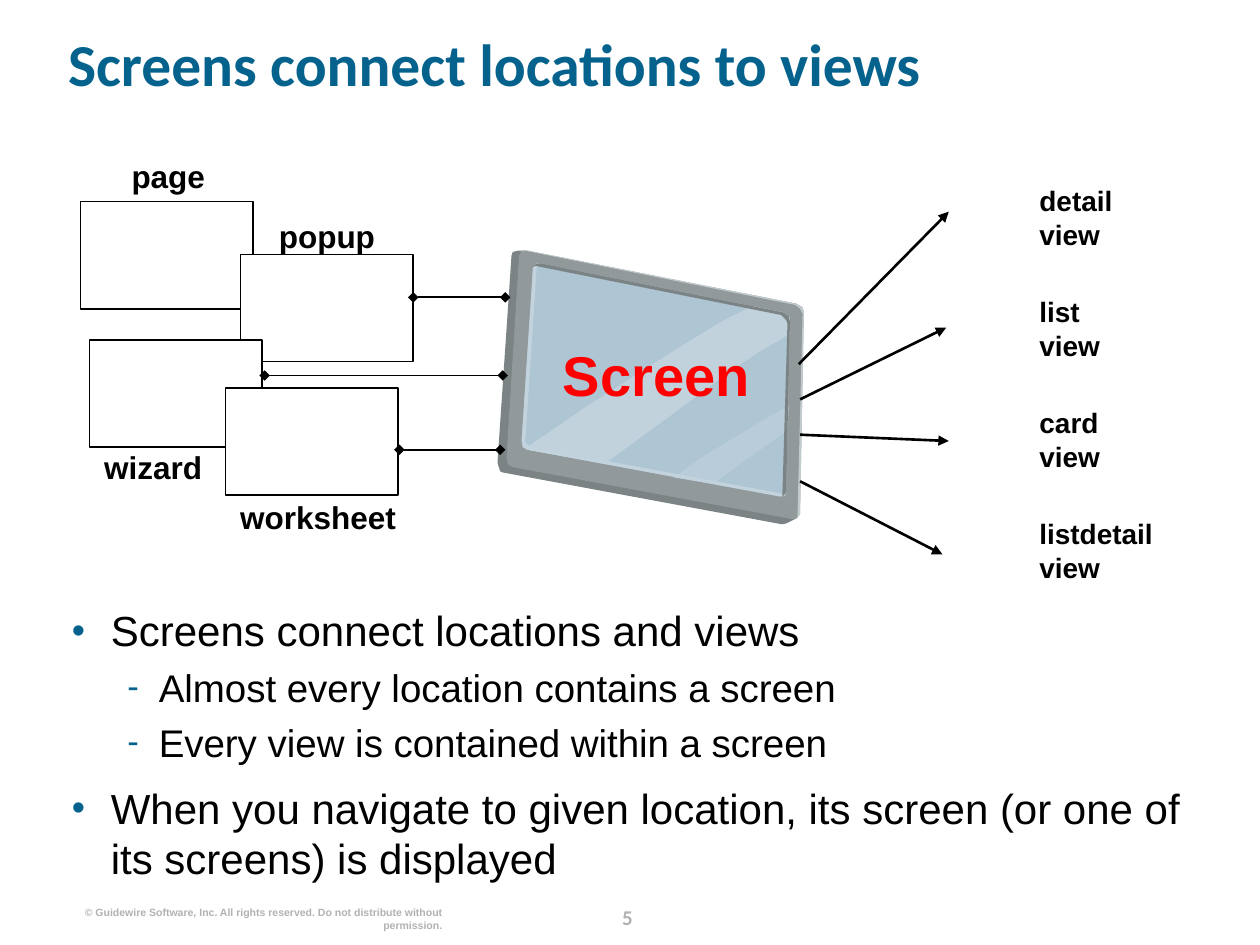
from lxml.etree import SubElement
from pptx import Presentation
from pptx.dml.color import RGBColor
from pptx.enum.shapes import MSO_CONNECTOR, MSO_SHAPE
from pptx.enum.text import MSO_ANCHOR, MSO_AUTO_SIZE, PP_ALIGN
from pptx.oxml.ns import qn
from pptx.util import Inches, Pt

BLUE = RGBColor(0x04, 0x62, 0x8C)
BLACK = RGBColor(0, 0, 0)
WHITE = RGBColor(255, 255, 255)
RED = RGBColor(255, 0, 0)
GRAY = RGBColor(0xB2, 0xB2, 0xB2)
EDGE = RGBColor(0x7C, 0x83, 0x84)
FRAME = RGBColor(0x92, 0x99, 0x9B)
SHINE = RGBColor(0xC1, 0xCB, 0xCD)
GLASS = RGBColor(0xAE, 0xC5, 0xD4)
GLARE = RGBColor(0xC1, 0xD2, 0xDD)
HAZE = RGBColor(0xB9, 0xCC, 0xD9)
RIM = RGBColor(0xC3, 0xD3, 0xDE)

TITLE = "Screens connect locations to views"
BULLETS = [  # level, text
    (0, "Screens connect locations and views"),
    (1, "Almost every location contains a screen"),
    (1, "Every view is contained within a screen"),
    (0, "When you navigate to given location, its screen (or one of its screens) is displayed"),
]
LEVELS = [  # bullet, size, left margin, hang, space before
    ("•", 24, 0.31, 0.31, 10),
    ("-", 22, 0.69, 0.25, 5),
]
# Location name, box corner, label corner
PLACES = [
    ("page", (0.64, 1.6), (0.64, 1.25)),
    ("popup", (1.91, 2.02), (1.9, 1.72)),
    ("wizard", (0.71, 2.7), (0.52, 3.56)),
    ("worksheet", (1.79, 3.08), (1.83, 3.95)),
]
BOX = (1.37, 0.85)
LINKS = [(3.28, 4.01, 2.36), (2.1, 3.99, 2.98), (3.17, 3.97, 3.57)]  # x1, x2, y
# View name, arrow start, arrow end
VIEWS = [
    ("detail\nview", (6.34, 2.89), (7.53, 1.68)),
    ("list\nview", (6.35, 3.17), (7.51, 2.6)),
    ("card\nview", (6.35, 3.45), (7.53, 3.5)),
    ("listdetail\nview", (6.35, 3.82), (7.48, 4.4)),
]
VIEW_X, VIEW_Y, VIEW_STEP = 8.25, 1.46, 0.88
# Monitor parts from back to front, in hundredths of an inch
MONITOR = [
    (EDGE, [(395, 365), (395, 368), (396, 371), (397, 374), (399, 375), (620, 416),
            (622, 416), (625, 415), (631, 412), (628, 409), (632, 249), (630, 245),
            (626, 242), (417, 199), (411, 199), (407, 200), (406, 203)]),
    (FRAME, [(402, 363), (403, 368), (405, 370), (408, 371), (629, 412), (631, 412),
             (633, 411), (635, 408), (638, 248), (637, 244), (632, 241), (419, 199),
             (414, 199), (412, 203)]),
    (SHINE, [(633, 409), (637, 249), (635, 245), (631, 242), (417, 199), (414, 200),
             (416, 199), (419, 199), (632, 241), (637, 244), (638, 248), (635, 408),
             (632, 412)]),
    (GLASS, [(414, 350), (415, 355), (419, 357), (619, 394), (623, 394), (624, 390),
             (627, 255), (626, 251), (622, 248), (429, 209), (424, 210), (423, 213)]),
    (GLARE, [(627, 265), (627, 252), (622, 248), (597, 243), (573, 255), (529, 282),
             (462, 325), (417, 356), (419, 357), (480, 368), (532, 330), (579, 295),
             (603, 279)]),
    (HAZE, [(625, 342), (626, 322), (603, 335), (557, 363), (535, 379), (566, 384),
            (596, 362)]),
    (RIM, [(427, 209), (426, 212), (417, 348), (417, 351), (419, 353), (423, 355),
           (622, 392), (623, 393), (619, 394), (419, 357), (415, 355), (414, 350),
           (423, 213), (424, 210)]),
    (EDGE, [(621, 392), (625, 257), (624, 254), (620, 250), (425, 211), (423, 212),
            (424, 210), (429, 209), (622, 248), (626, 251), (627, 255), (624, 390),
            (623, 392), (621, 394)]),
]

prs = Presentation()
prs.slide_width, prs.slide_height = Inches(10), Inches(7.5)
slide = prs.slides.add_slide(prs.slide_layouts[1])
shapes = slide.shapes


def place(shape, x, y, w, h):
    shape.left, shape.top, shape.width, shape.height = map(Inches, (x, y, w, h))


def trim(frame):
    frame.margin_left = frame.margin_right = frame.margin_top = frame.margin_bottom = 0
    frame.auto_size = MSO_AUTO_SIZE.NONE
    frame.word_wrap = True


def style(font, size, color, bold=True, name="Arial"):
    font.size, font.bold, font.name = Pt(size), bold, name
    font.color.rgb = color


def label(text, x, y, w, h, size, color=BLACK, align=PP_ALIGN.CENTER, name="Arial"):
    box = shapes.add_textbox(*map(Inches, (x, y, w, h)))
    trim(box.text_frame)
    para = box.text_frame.paragraphs[0]
    para.text, para.alignment = text, align
    for run in para.runs:
        style(run.font, size, color, name=name)
    return para


def line(start, end, width, **ends):
    wire = shapes.add_connector(MSO_CONNECTOR.STRAIGHT, *map(Inches, start + end))
    wire.line.width = Pt(width)
    wire.line.color.rgb = BLACK
    for tag, kind in ends.items():
        SubElement(wire.line._get_or_add_ln(), qn(f"a:{tag}"), type=kind)
    SubElement(wire._element.spPr, qn("a:effectLst"))


# Title
title = shapes.title
place(title, 0.54, 0.13, 9.1, 0.81)
trim(title.text_frame)
title.text_frame.vertical_anchor = MSO_ANCHOR.MIDDLE
para = title.text_frame.paragraphs[0]
para.text, para.alignment, para.line_spacing = TITLE, PP_ALIGN.LEFT, 0.9
style(para.runs[0].font, 34, BLUE, name="Calibri")

# Bullet list
body = slide.placeholders[1]
place(body, 0.57, 4.8, 9.1, 2.19)
trim(body.text_frame)
body.text_frame.text = "\n".join(text for _, text in BULLETS)
for i, (para, (level, _)) in enumerate(zip(body.text_frame.paragraphs, BULLETS)):
    mark, size, left, hang, gap = LEVELS[level]
    para.level = level
    para.space_before = Pt(gap if i else 0)
    props = para._p.get_or_add_pPr()
    props.set("marL", str(Inches(left)))
    props.set("indent", str(-Inches(hang)))
    SubElement(SubElement(props, qn("a:buClr")), qn("a:srgbClr"), val=str(BLUE))
    SubElement(props, qn("a:buSzPct"), val="90000")
    SubElement(props, qn("a:buFont"), typeface="Arial")
    SubElement(props, qn("a:buChar"), char=mark)
    style(para.runs[0].font, size, BLACK, bold=False)

# Monitor
group = shapes.add_group_shape()
for color, points in MONITOR:
    pen = group.shapes.build_freeform(*points[0], scale=Inches(0.01))
    pen.add_line_segments(points[1:], close=True)
    part = pen.convert_to_shape()
    part.shadow.inherit = False
    part.fill.solid()
    part.fill.fore_color.rgb = color
    part.line.fill.background()

# Locations
for _, corner, _ in PLACES:
    box = shapes.add_shape(MSO_SHAPE.RECTANGLE, *map(Inches, corner + BOX))
    box.shadow.inherit = False
    box.fill.solid()
    box.fill.fore_color.rgb = WHITE
    box.line.color.rgb = BLACK
    box.line.width = Pt(1)
for name, _, corner in PLACES:
    label(name, *corner, 1.39, 0.3, 18)
for x1, x2, y in LINKS:
    line((x1, y), (x2, y), 1, headEnd="diamond", tailEnd="diamond")

label("Screen", 4.41, 2.7, 1.6, 0.53, 32, RED)

# Views
for i, (name, start, end) in enumerate(VIEWS):
    label(name, VIEW_X, VIEW_Y + i * VIEW_STEP, 1, 0.53, 16, align=PP_ALIGN.LEFT)
    line(start, end, 1.5, tailEnd="triangle")

# Footer
label("5", 4.73, 7.13, 0.5, 0.25, 12, GRAY, name="Calibri").line_spacing = Pt(18)
label("© Guidewire Software, Inc. All rights reserved. Do not distribute without permission.",
      0.61, 7.19, 2.9, 0.2, 6, GRAY, PP_ALIGN.RIGHT)

prs.save("out.pptx")
